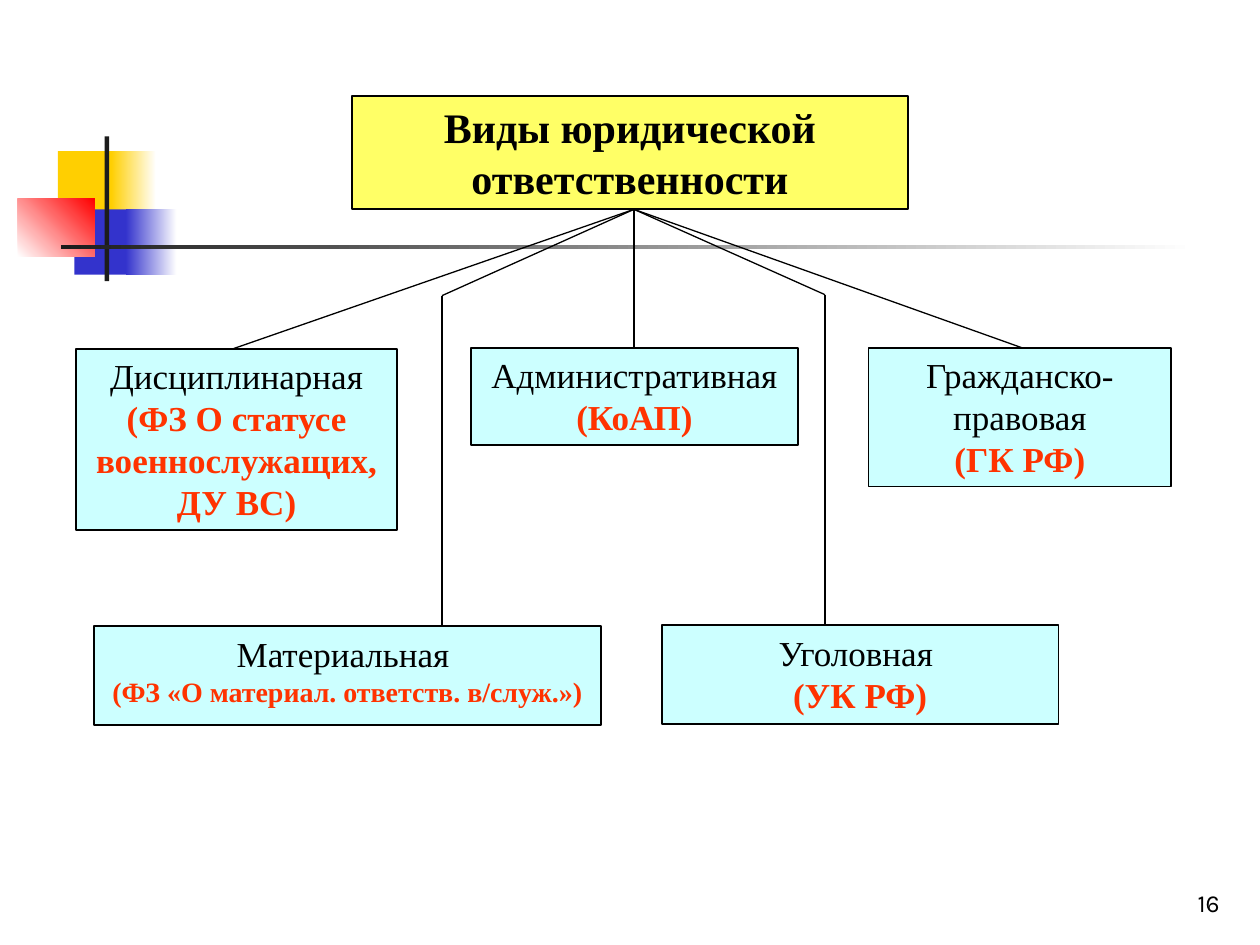
from pptx import Presentation
from pptx.dml.color import RGBColor
from pptx.enum.shapes import MSO_CONNECTOR, MSO_SHAPE
from pptx.enum.text import MSO_ANCHOR, PP_ALIGN
from pptx.oxml.ns import qn
from pptx.util import Cm, Pt

RECT = MSO_SHAPE.RECTANGLE
STRAIGHT = MSO_CONNECTOR.STRAIGHT
TOP, BOTTOM = MSO_ANCHOR.TOP, MSO_ANCHOR.BOTTOM
CENTER, RIGHT = PP_ALIGN.CENTER, PP_ALIGN.RIGHT

COLORS = {
    "white": "FFFFFF", "black": "000000", "gold": "FFCF01", "blue": "3333CC",
    "red": "FF0000", "dark": "1C1C1C", "yellow": "FFFF66", "cyan": "CCFFFF",
    "law": "FF3300",
}
SERIF, SANS = "Times New Roman", "Karla"

DECOR = [
    ((1.17, 3.05, 1.22, 1.32), ("gold",), 0),
    ((2.24, 3.05, 0.91, 1.32), ("gold", "white"), 0),
    ((1.5, 4.22, 1.17, 1.32), ("blue",), 0),
    ((2.54, 4.22, 1.02, 1.32), ("blue", "white"), 0),
    ((0.36, 4.01, 1.55, 1.17), ("white", "red"), 45),
    ((2.11, 2.75, 0.09, 2.92), ("dark",), 0),
    ((1.23, 4.94, 22.86, 0.09), ("dark", "white"), 0),
]

TITLE = ((7.1, 1.93, 11.2, 2.29), "Виды юридической ответственности")
KINDS = [
    ((17.51, 7.01, 6.1, 2.8), "Гражданско-правовая", "(ГК РФ)", 20, True),
    ((1.53, 7.03, 6.48, 3.65), "Дисциплинарная ",
     "(ФЗ О статусе военнослужащих,ДУ ВС)", 20, False),
    ((9.49, 7.01, 6.6, 1.96), "Административная ", "(КоАП)", 20, False),
    ((1.9, 12.62, 10.21, 2), "Материальная ",
     "(ФЗ «О материал. ответств. в/служ.»)", 16, True),
    ((13.34, 12.6, 8, 2), "Уголовная ", "(УК РФ)", 20, True),
]
HUB = (12.78, 4.22)
BRANCHES = [
    [HUB, (4.7, 7.03)],
    [HUB, (8.91, 5.96), (8.91, 12.62)],
    [HUB, (12.78, 7.01)],
    [HUB, (16.63, 5.94), (16.63, 12.6)],
    [HUB, (20.6, 7.01)],
]


def color(name):
    return RGBColor.from_string(COLORS[name])


def add_rect(box, fills, angle=0):
    s = slide.shapes.add_shape(RECT, *map(Cm, box))
    s.shadow.inherit = False
    s.line.fill.background()
    if len(fills) == 1:
        s.fill.solid()
        s.fill.fore_color.rgb = color(fills[0])
    else:
        s.fill.gradient()
        s.fill.gradient_angle = angle
        for stop, name in zip(s.fill.gradient_stops, fills):
            stop.color.rgb = color(name)
    return s


def add_line(start, end):
    c = slide.shapes.add_connector(STRAIGHT, *map(Cm, start + end))
    c.line.color.rgb = color("black")
    c.line.width = Pt(0.75)
    sp_pr = c._element.spPr
    sp_pr.append(sp_pr.makeelement(qn("a:effectLst"), {}))


def set_text(s, text, size, font, anchor, align):
    tf = s.text_frame
    tf.word_wrap = True
    tf.vertical_anchor = anchor
    p = tf.paragraphs[0]
    p.alignment = align
    p.font.name = font
    add_run(p, text, size, "black")
    return p


def add_run(p, text, size, name, bold=False):
    r = p.add_run()
    r.text = text
    r.font.size = Pt(size)
    r.font.bold = bold
    r.font.color.rgb = color(name)


def add_box(box, fill, text, size):
    s = add_rect(box, (fill,))
    s.line.color.rgb = color("black")
    s.line.width = Pt(1)
    return set_text(s, text, size, SERIF, TOP, CENTER)


prs = Presentation()
prs.slide_width, prs.slide_height = Cm(25.4), Cm(19.05)
slide = prs.slides.add_slide(prs.slide_layouts[6])

for box, fills, angle in DECOR:
    add_rect(box, fills, angle)

number = slide.shapes.add_textbox(*map(Cm, (19.56, 17.35, 5.28, 1.27)))
set_text(number, "16", 14, SANS, BOTTOM, RIGHT)

for points in BRANCHES:
    for start, end in zip(points, points[1:]):
        add_line(start, end)

for box, kind, law, law_size, split in KINDS:
    p = add_box(box, "cyan", kind, 20)
    if split:
        p.add_line_break()
    add_run(p, law, law_size, "law", True)

p = add_box(TITLE[0], "yellow", TITLE[1], 24)
p.runs[0].font.bold = True

prs.save("out.pptx")
